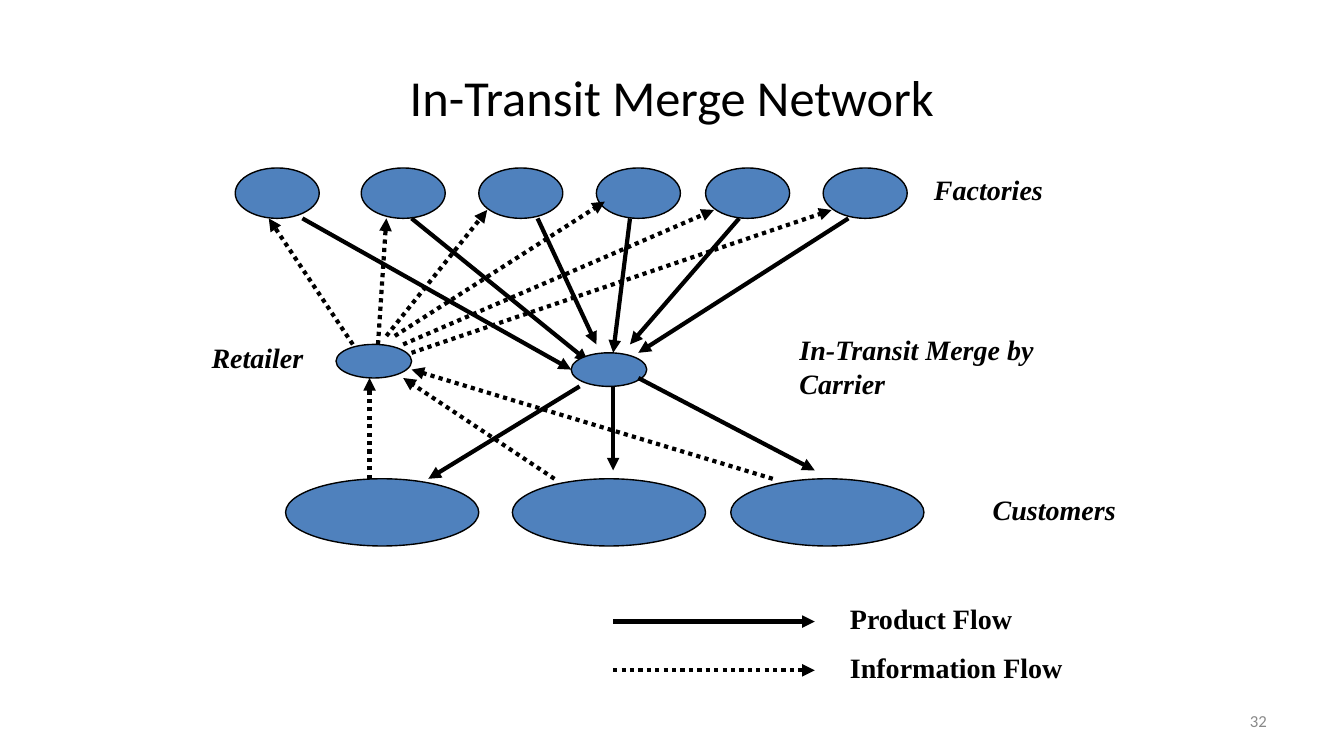
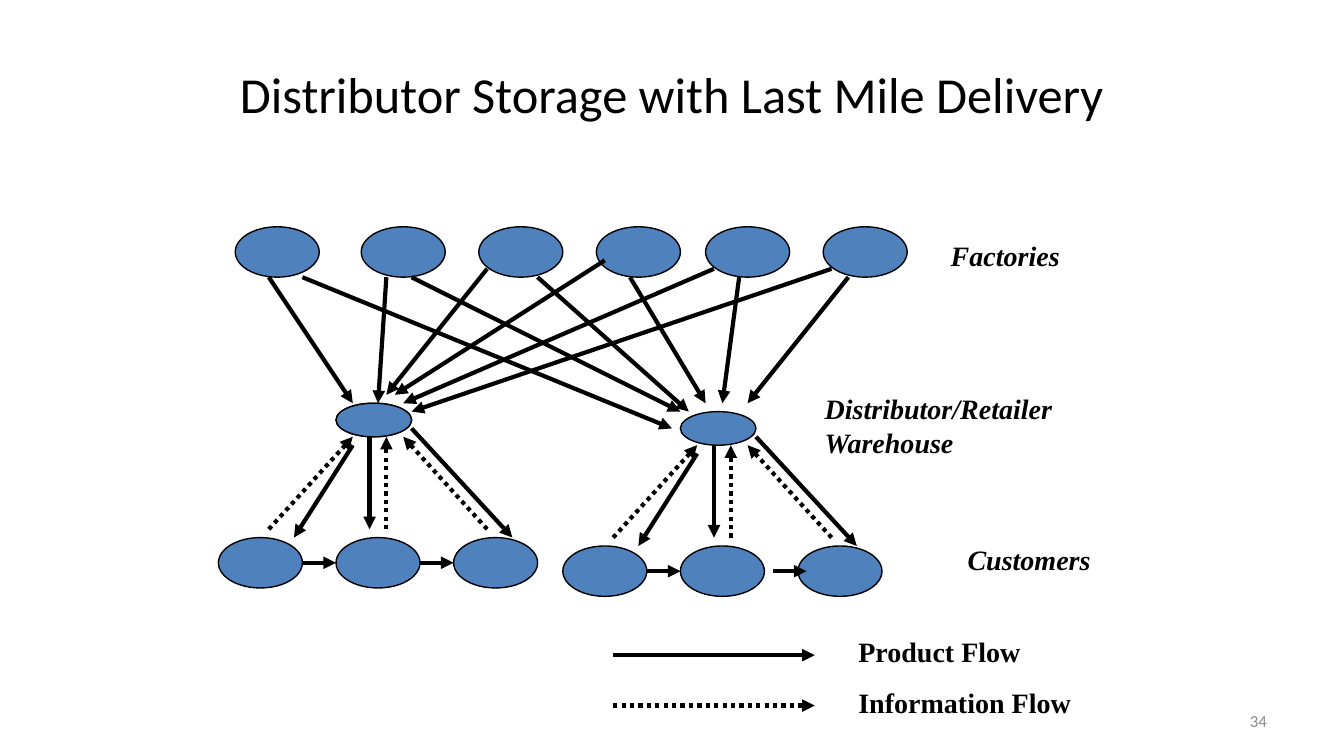
"""Draws two supply network diagrams: in-transit merge and last mile delivery."""
from lxml import etree
from pptx import Presentation
from pptx.dml.color import RGBColor
from pptx.enum.dml import MSO_LINE
from pptx.enum.shapes import MSO_CONNECTOR, MSO_SHAPE
from pptx.enum.text import MSO_ANCHOR, PP_ALIGN
from pptx.oxml.ns import qn
from pptx.util import Cm, Pt

ELLIPSE = MSO_SHAPE.OVAL
STRAIGHT = MSO_CONNECTOR.STRAIGHT
DOTTED = MSO_LINE.ROUND_DOT
TOP, MIDDLE = MSO_ANCHOR.TOP, MSO_ANCHOR.MIDDLE
LEFT, CENTER, RIGHT = PP_ALIGN.LEFT, PP_ALIGN.CENTER, PP_ALIGN.RIGHT

GRID_CM = 2.54 / 12
SLIDE_WIDTH, SLIDE_HEIGHT = 160, 90

FACTORY_LEFTS = [28, 43, 57, 71, 84, 98]
FACTORY_SIZE = (10, 6)
HUB_SIZE = (9, 4)
LEFT_HUB_X = 40
HUB_DROP = 21

LEFT_HUB_ROUTES = [
    ((32, 6), (42, 21)),
    ((46, 6), (45, 21)),
    ((58, 5), (46, 20)),
    ((72, 4), (47, 20)),
    ((85, 5), (48, 21)),
    ((99, 5), (49, 22)),
]
RIGHT_HUB_STARTS = [36, 49, 64, 75, 88, 101]


def grid(units):
    return Cm(units * GRID_CM)


def color(hex_code):
    return RGBColor.from_string(hex_code)


class NetworkDeck:
    INK = "000000"
    NODE = "4F81BD"
    MUTED = "898989"
    TITLE_FONT = "Calibri"
    LABEL_FONT = "Times New Roman"

    def __init__(self):
        self.deck = Presentation()
        self.deck.slide_width = grid(SLIDE_WIDTH)
        self.deck.slide_height = grid(SLIDE_HEIGHT)
        self.slide = None

    def start_slide(self, title, title_top, number):
        self.slide = self.deck.slides.add_slide(self.deck.slide_layouts[6])
        self.text(title, 8, title_top, 144, 15, 36, align=CENTER, anchor=MIDDLE)
        self.text(number, 114.7, 83.4, 37.3, 4.8, 12, self.MUTED, RIGHT, MIDDLE)

    def text(self, words, left, top, width, height, size, ink=INK,
             align=LEFT, anchor=TOP, font=TITLE_FONT, bold=False, italic=False):
        box = self.slide.shapes.add_textbox(
            grid(left), grid(top), grid(width), grid(height))
        frame = box.text_frame
        frame.word_wrap = True
        frame.vertical_anchor = anchor
        paragraph = frame.paragraphs[0]
        paragraph.alignment = align
        run = paragraph.add_run()
        run.text = words
        run.font.name = font
        run.font.size = Pt(size)
        run.font.bold = bold
        run.font.italic = italic
        run.font.color.rgb = color(ink)

    def label(self, words, left, top, width, lines=1, italic=True):
        self.text(words, left, top, width, 1.2 + 4 * lines, 20,
                  font=self.LABEL_FONT, bold=True, italic=italic)

    def node(self, left, top, size):
        width, height = size
        ellipse = self.slide.shapes.add_shape(
            ELLIPSE, grid(left), grid(top), grid(width), grid(height))
        ellipse.shadow.inherit = False
        ellipse.fill.solid()
        ellipse.fill.fore_color.rgb = color(self.NODE)
        ellipse.line.color.rgb = color(self.INK)
        ellipse.line.width = Pt(1)

    def node_row(self, lefts, top, size):
        for left in lefts:
            self.node(left, top, size)

    def flow(self, start, end, information=False):
        arrow = self.slide.shapes.add_connector(
            STRAIGHT, *(grid(units) for units in (*start, *end)))
        arrow.line.color.rgb = color(self.INK)
        arrow.line.width = Pt(3)
        if information:
            arrow.line.dash_style = DOTTED
        outline = arrow.line._get_or_add_ln()
        etree.SubElement(outline, qn("a:tailEnd"), type="triangle")
        etree.SubElement(arrow._element.spPr, qn("a:effectLst"))

    def factories(self, top, right_hub_ends, orders_to_factories):
        self.node_row(FACTORY_LEFTS, top, FACTORY_SIZE)
        self.node(LEFT_HUB_X, top + HUB_DROP, HUB_SIZE)
        for start_x, (end_x, drop) in zip(RIGHT_HUB_STARTS, right_hub_ends):
            self.flow((start_x, top + FACTORY_SIZE[1]), (end_x, top + drop))
        for (factory_x, factory_y), (hub_x, hub_y) in LEFT_HUB_ROUTES:
            factory, hub = (factory_x, top + factory_y), (hub_x, top + hub_y)
            if orders_to_factories:
                self.flow(hub, factory, information=True)
            else:
                self.flow(factory, hub)

    def delivery_round(self, left, top, last_leg_shift=0):
        self.node(left, top, HUB_SIZE)
        self.node_row([left + step for step in (-14, 0, 14)], top + 16, FACTORY_SIZE)
        orders = [((-8, 15), (2, 4)), ((6, 15), (6, 4)), ((18, 15), (8, 4))]
        deliveries = [
            ((2, 5), (-5, 16)),
            ((4, 4), (4, 15)),
            ((9, 3), (21, 16)),
            ((-4, 19), (0, 19)),
            ((10 + last_leg_shift, 19), (14 + last_leg_shift, 19)),
        ]
        for routes, information in ((orders, True), (deliveries, False)):
            for (x1, y1), (x2, y2) in routes:
                self.flow((left + x1, top + y1), (left + x2, top + y2), information)

    def legend(self, text_left, product_y, information_y):
        entries = [("Product Flow", product_y, 22, False),
                   ("Information Flow", information_y, 28, True)]
        for words, y, width, information in entries:
            self.flow((73, y), (97, y), information)
            self.label(words, text_left, y - 3, width, italic=False)


def in_transit_merge(net):
    net.start_slide("In-Transit Merge Network", 4, "32")
    merge_ends = [(68, 24), (70, 23), (71, 21), (73, 22), (75, 21), (76, 22)]
    net.factories(20, merge_ends, orders_to_factories=True)
    net.node(68, 42, HUB_SIZE)
    net.node_row([34, 61, 87], 57, (23, 8))
    for start, end in [((69, 46), (51, 57)), ((73, 46), (73, 56)), ((76, 45), (97, 56))]:
        net.flow(start, end)
    for start, end in [((44, 57), (44, 45)), ((66, 57), (48, 45)), ((92, 57), (49, 44))]:
        net.flow(start, end, information=True)
    net.label("Factories", 110, 20, 22)
    net.label("Retailer", 24, 40, 14)
    net.label("In-Transit Merge by Carrier", 94, 39, 36, lines=2)
    net.label("Customers", 117, 58, 18)
    net.legend(100, 74, 79.8)


def last_mile_delivery(net):
    net.start_slide("Distributor Storage with Last Mile Delivery", 3.6, "34")
    warehouse_ends = [(80, 24), (81, 22), (82, 22), (84, 21), (86, 21), (89, 21)]
    net.factories(27, warehouse_ends, orders_to_factories=False)
    net.delivery_round(LEFT_HUB_X, 27 + HUB_DROP)
    net.delivery_round(81, 49, last_leg_shift=1)
    net.label("Factories", 112, 27.8, 22)
    net.label("Distributor/Retailer Warehouse", 97, 46, 36, lines=2)
    net.label("Customers", 114, 64, 22)
    net.legend(101, 78, 84)


def main():
    net = NetworkDeck()
    in_transit_merge(net)
    last_mile_delivery(net)
    net.deck.save("out.pptx")


if __name__ == "__main__":
    main()
